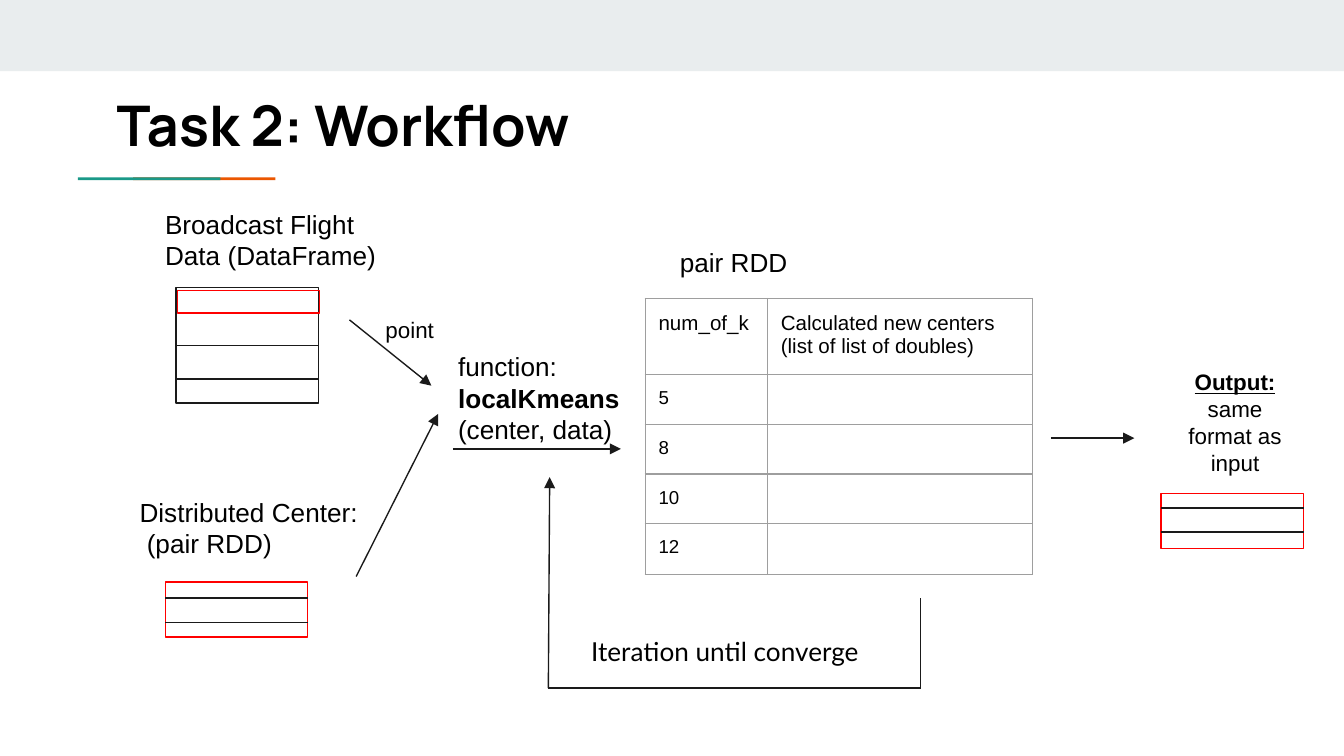
from dataclasses import dataclass

from lxml import etree
from pptx import Presentation
from pptx.dml.color import RGBColor
from pptx.enum.shapes import MSO_CONNECTOR, MSO_SHAPE
from pptx.enum.text import PP_ALIGN
from pptx.oxml.ns import qn
from pptx.util import Inches, Pt

STRAIGHT = MSO_CONNECTOR.STRAIGHT
RECTANGLE = MSO_SHAPE.RECTANGLE
LEFT, CENTER = PP_ALIGN.LEFT, PP_ALIGN.CENTER


@dataclass(frozen=True)
class Theme:
    band: str = "E9EDEE"
    teal: str = "1A9988"
    orange: str = "EB5600"
    ink: str = "1A1A1A"
    red: str = "FF0000"
    grid: str = "9E9E9E"
    text: str = "000000"
    body_font: str = "Arial"
    title_font: str = "Manrope"
    loop_font: str = "Lato"
    title: int = 30
    label: int = 14
    note: int = 12
    header: int = 11
    cell: int = 10
    stroke: float = 0.75
    inset: float = 0.1


THEME = Theme()


def color(value):
    return RGBColor.from_string(value)


def set_insets(target):
    for side in ("left", "top", "right", "bottom"):
        setattr(target, f"margin_{side}", Inches(THEME.inset))


def add_span(para, text, size, font=THEME.body_font, bold=False, underline=False):
    span = para.add_run()
    span.text = text
    span.font.size = Pt(size)
    span.font.name = font
    span.font.bold = bold
    span.font.underline = underline
    span.font.color.rgb = color(THEME.text)


def add_label(page, box, paragraphs, size=THEME.label, font=THEME.body_font, align=LEFT):
    frame = page.shapes.add_textbox(*map(Inches, box)).text_frame
    frame.word_wrap = True
    set_insets(frame)
    for index, spans in enumerate(paragraphs):
        para = frame.add_paragraph() if index else frame.paragraphs[0]
        para.alignment = align
        for text, *style in spans:
            add_span(para, text, size, font, *style)


def add_box(page, box, fill=None, line=None):
    shape = page.shapes.add_shape(RECTANGLE, *map(Inches, box))
    shape.shadow.inherit = False
    if fill:
        shape.fill.solid()
        shape.fill.fore_color.rgb = color(fill)
    else:
        shape.fill.background()
    if line:
        shape.line.color.rgb = color(line)
        shape.line.width = Pt(THEME.stroke)
    else:
        shape.line.fill.background()


def add_line(page, start, end, arrow=False):
    line = page.shapes.add_connector(STRAIGHT, *map(Inches, (*start, *end)))
    line.line.color.rgb = color(THEME.ink)
    line.line.width = Pt(THEME.stroke)
    properties = line._element.spPr
    if arrow:
        etree.SubElement(properties.find(qn("a:ln")), qn("a:tailEnd"), type="triangle")
    etree.SubElement(properties, qn("a:effectLst"))


def add_record_stack(page, box, outline, dividers):
    left, top, width, _ = box
    add_box(page, box, line=outline)
    for offset in dividers:
        add_line(page, (left, top + offset), (left + width, top + offset))


def add_heading(page, box):
    left, top, width, _ = box
    add_box(page, (left, top, width, 0.53), fill=THEME.band)
    for offset, fill in ((0.99, THEME.orange), (0.58, THEME.teal)):
        add_box(page, (left + offset, top + 1.32, 1.06, 0.02), fill=fill)
    add_label(page, (left + 0.77, top + 0.57, 3.95, 0.79),
              [[("Task 2: Workflow", True)]], THEME.title, THEME.title_font)


def add_flight_data(page, box):
    left, top, width, _ = box
    add_label(page, (left, top, width, 0.31), [[("Broadcast Flight Data (DataFrame)",)]])
    add_record_stack(page, (left + 0.18, top + 0.69, 1.06, 0.86), THEME.ink, (0.43, 0.68))
    add_box(page, (left + 0.19, top + 0.71, 1.06, 0.17), line=THEME.red)


def add_centers(page, box):
    left, top, width, _ = box
    add_label(page, (left, top, width, 0.31), [[("Distributed Center:",)], [(" (pair RDD)",)]])
    add_record_stack(page, (left + 0.29, top + 0.74, 1.06, 0.41), THEME.red, (0.12, 0.3))


def add_function(page, box):
    left, top, width, height = box
    add_label(page, (left + 0.71, top + 0.26, width - 0.71, 1.04),
              [[("function: ",), ("localKmeans ", True), ("(center, data)",)]])
    add_label(page, (left + 0.17, top, 0.7, 0.41), [[("point",)]], THEME.note)
    add_line(page, (left, top + 0.13), (left + 0.61, top + 0.62), arrow=True)
    add_line(page, (left + 0.05, top + height), (left + 0.66, top + 0.83), arrow=True)
    add_line(page, (left + 0.77, top + 1.09), (left + 2.02, top + 1.09), arrow=True)


def draw_borders(cell):
    properties = cell._tc.get_or_add_tcPr()
    for index, side in enumerate(("lnL", "lnR", "lnT", "lnB")):
        border = etree.Element(qn(f"a:{side}"), w=str(Pt(THEME.stroke)))
        fill = etree.SubElement(border, qn("a:solidFill"))
        etree.SubElement(fill, qn("a:srgbClr"), val=THEME.grid)
        properties.insert(index, border)


def add_pair_table(page, box):
    left, top, width, height = box
    add_label(page, (left + 0.16, top, 1.14, 0.41), [[("pair RDD",)]])
    rows = [("num_of_k", "Calculated new centers (list of list of doubles)")]
    rows += [(count, "") for count in ("5", "8", "10", "12")]
    frame_box = tuple(map(Inches, (left, top + 0.49, width, height - 0.49)))
    grid = page.shapes.add_table(len(rows), 2, *frame_box)
    table = grid.table
    for column, size in zip(table.columns, (0.91, 1.97)):
        column.width = Inches(size)
    for row, size, texts in zip(table.rows, (0.39, 0.37, 0.37, 0.37, 0.38), rows):
        row.height = Inches(size)
        text_size = THEME.header if texts is rows[0] else THEME.cell
        for cell, text in zip(row.cells, texts):
            cell.fill.background()
            set_insets(cell)
            draw_borders(cell)
            para = cell.text_frame.paragraphs[0]
            if text:
                add_span(para, text, text_size)
            else:
                etree.SubElement(para._p, qn("a:endParaRPr"), sz=str(text_size * 100))
    grid.width, grid.height = frame_box[2:]


def add_iteration(page, box):
    left, top, width, height = box
    right, bottom = left + width, top + height
    add_line(page, (left, bottom), (left + 0.01, top), arrow=True)
    add_line(page, (left, bottom), (right, bottom))
    add_line(page, (right, top + 0.9), (right, bottom))
    add_label(page, (left + 0.22, top + 1.08, 2.25, 0.41),
              [[("Iteration until converge",)]], font=THEME.loop_font)


def add_output(page, box):
    left, top, _, _ = box
    add_line(page, (left, top + 0.62), (left + 0.62, top + 0.62), arrow=True)
    add_label(page, (left + 0.84, top, 1.06, 0.41),
              [[("Output: ", True, True), ("same format as input",)]], THEME.note, align=CENTER)
    add_record_stack(page, (left + 0.82, top + 1.03, 1.06, 0.41), THEME.red, (0.11, 0.29))


deck = Presentation()
deck.slide_width = Inches(10)
deck.slide_height = Inches(10 * 9 / 16)
page = deck.slides.add_slide(deck.slide_layouts[6])
add_heading(page, (0, 0, 10, 1.36))
add_flight_data(page, (1.13, 1.45, 1.83, 1.55))
add_centers(page, (0.94, 3.59, 2, 1.15))
add_function(page, (2.6, 2.25, 2.27, 2.04))
add_pair_table(page, (4.8, 1.73, 3.28, 3.77))
add_iteration(page, (4.08, 3.55, 2.77, 1.57))
add_output(page, (7.82, 2.64, 1.9, 1.44))
deck.save("out.pptx")
